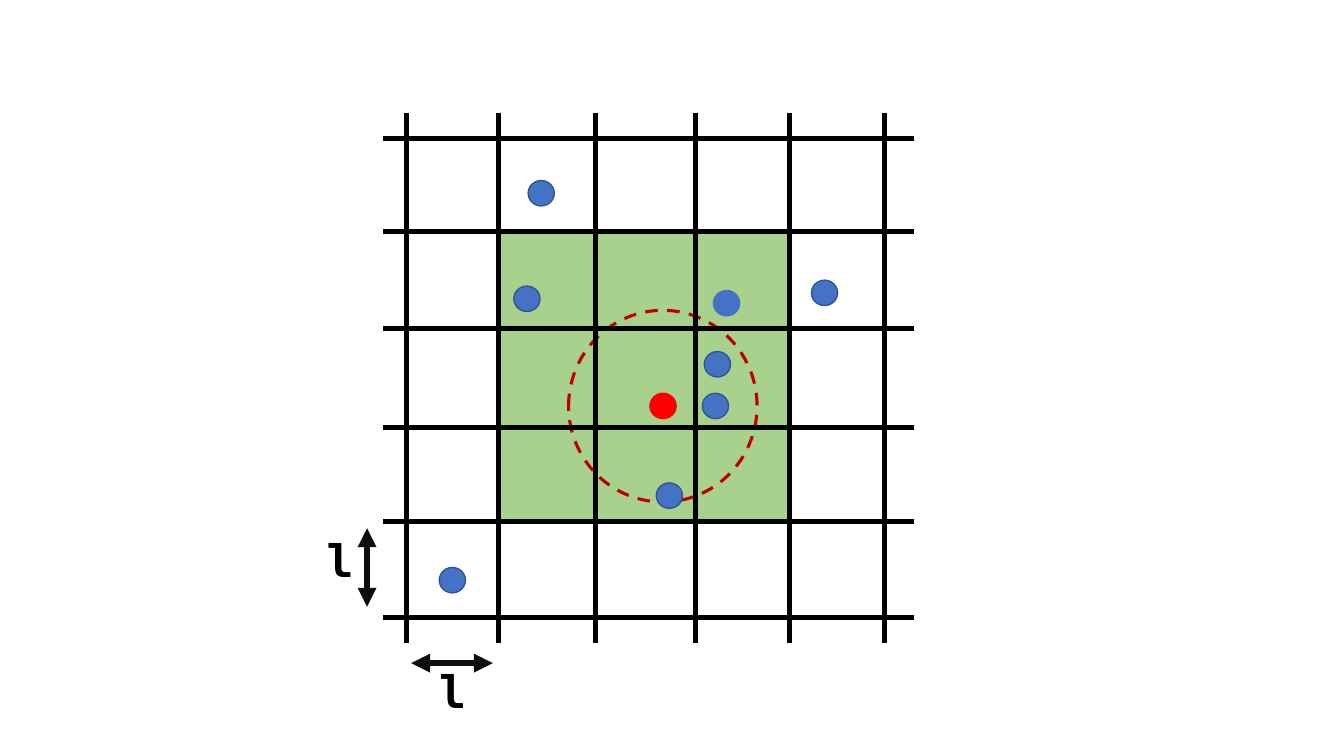
from lxml import etree
from pptx import Presentation
from pptx import util as u
from pptx.dml.color import RGBColor
from pptx.enum import dml, shapes
from pptx.oxml.ns import qn

COLOURS = {
    "grid": "000000", "arrow": "0D0D0D", "text": "000000",
    "neighbourhood": "A9D18E", "radius": "C00000", "query": "FF0000",
    "point": "4472C4", "point_edge": "325491",
}


class Diagram:
    """Style and current slide, with one method per kind of element."""
    font = "DejaVu Sans Mono"
    font_size = 32
    dot_width, dot_height = 0.66, 0.64

    def __init__(self, slide):
        self.slide = slide

    def colour(self, name):
        return RGBColor.from_string(COLOURS[name])

    def shape(self, kind, left, top, width, height, fill, edge, weight=1):
        shape = self.slide.shapes.add_shape(
            kind, u.Cm(left), u.Cm(top), u.Cm(width), u.Cm(height))
        shape.shadow.inherit = False
        if fill:
            shape.fill.solid()
            shape.fill.fore_color.rgb = self.colour(fill)
        else:
            shape.fill.background()
        shape.line.color.rgb = self.colour(edge)
        shape.line.width = u.Pt(weight)
        return shape

    def dot(self, left, top, fill="point", edge="point_edge"):
        self.shape(shapes.MSO_SHAPE.OVAL, left, top,
                   self.dot_width, self.dot_height, fill, edge)

    def line(self, x1, y1, x2, y2, colour="grid", weight=3.5):
        connector = self.slide.shapes.add_connector(
            shapes.MSO_CONNECTOR.STRAIGHT,
            u.Cm(x1), u.Cm(y1), u.Cm(x2), u.Cm(y2))
        connector.line.color.rgb = self.colour(colour)
        connector.line.width = u.Pt(weight)
        etree.SubElement(connector._element.spPr, qn("a:effectLst"))
        return connector

    def double_arrow(self, x1, y1, x2, y2):
        connector = self.line(x1, y1, x2, y2, "arrow", 4.5)
        outline = connector.line._get_or_add_ln()
        for end in ("a:headEnd", "a:tailEnd"):
            etree.SubElement(outline, qn(end), type="triangle")

    def label(self, left, top, content):
        box = self.slide.shapes.add_textbox(
            u.Cm(left), u.Cm(top), u.Cm(1.8), u.Cm(1.63))
        box.text_frame.word_wrap = True
        box.text_frame.text = content
        font = box.text_frame.paragraphs[0].runs[0].font
        font.name, font.size, font.bold = self.font, u.Pt(self.font_size), True
        font.color.rgb = self.colour("text")


presentation = Presentation()
presentation.slide_width, presentation.slide_height = u.Cm(33.87), u.Cm(19.05)
diagram = Diagram(presentation.slides.add_slide(presentation.slide_layouts[6]))

# Neighbouring cells and search radius
diagram.shape(shapes.MSO_SHAPE.RECTANGLE, 12.52, 5.89, 7.29, 7.21,
              "neighbourhood", "neighbourhood")
radius = diagram.shape(shapes.MSO_SHAPE.OVAL, 14.33, 7.82, 4.75, 4.83,
                       None, "radius", 2.25)
radius.line.dash_style = dml.MSO_LINE.DASH

# Grid lines
for x in (10.24, 12.57, 15.01, 17.53, 19.89, 22.3):
    diagram.line(x, 2.84, x, 16.21)
for y in (3.48, 5.84, 8.28, 10.77, 13.13, 15.57):
    diagram.line(23.04, y, 9.65, y)

# Points, with the query point in red
for left, top in ((13.31, 4.55), (12.95, 7.21), (17.75, 8.86), (17.7, 9.91),
                  (16.54, 12.17), (20.45, 7.06), (11.07, 14.3)):
    diagram.dot(left, top)
diagram.dot(17.98, 7.32, edge="point")
diagram.dot(16.38, 9.91, "query", "query")

# Cell size
diagram.double_arrow(9.25, 13.31, 9.25, 15.29)
diagram.double_arrow(12.42, 16.71, 10.36, 16.71)
for left, top in ((7.98, 13.31), (10.82, 16.61)):
    diagram.label(left, top, "l")

presentation.save("out.pptx")
